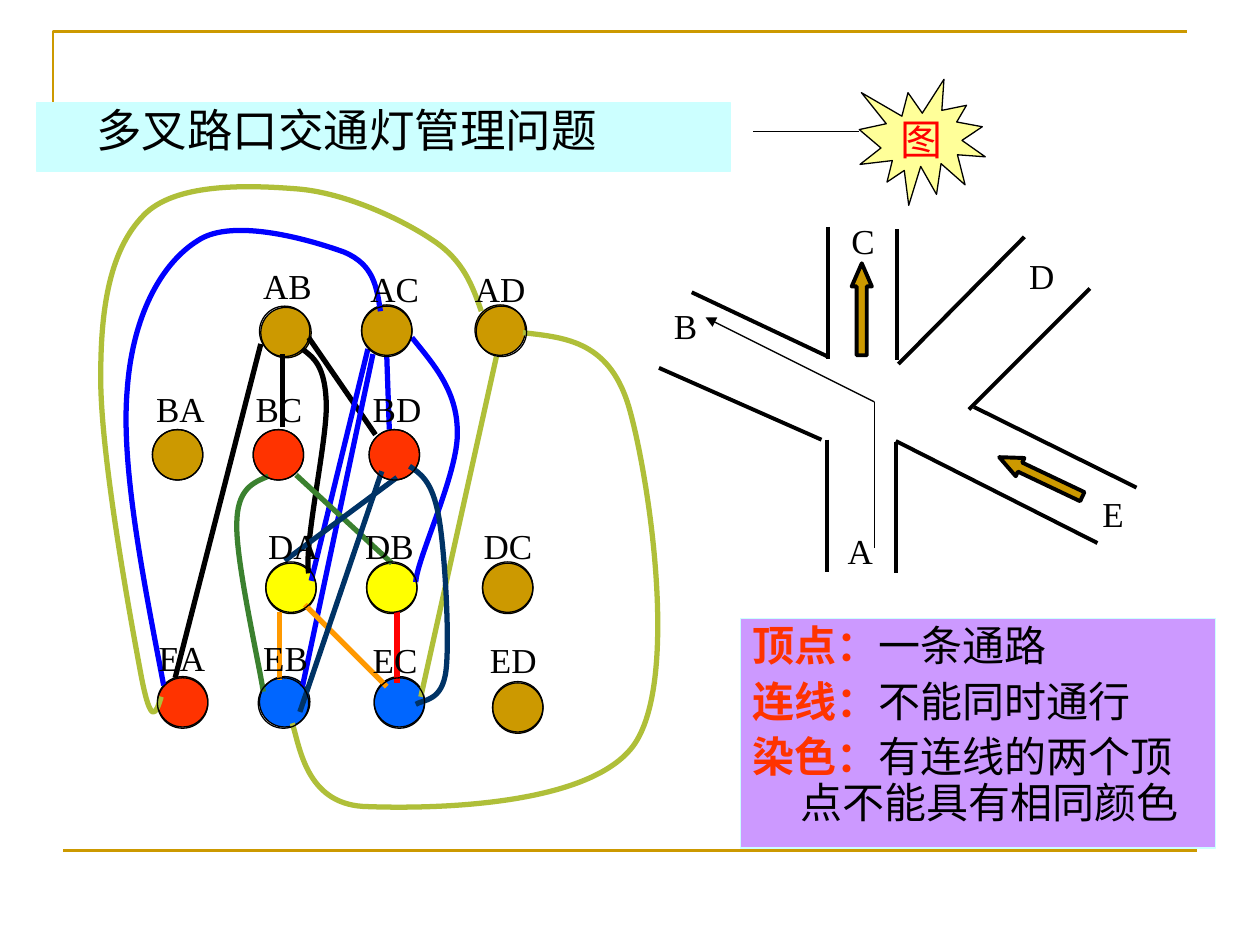
import dataclasses
import itertools

import pptx
import pptx.dml.color
import pptx.enum.shapes
import pptx.enum.text
import pptx.oxml
import pptx.oxml.ns
import pptx.util

SHAPE = pptx.enum.shapes.MSO_SHAPE
ALIGN = pptx.enum.text.PP_ALIGN
ANCHOR = pptx.enum.text.MSO_ANCHOR
CELL = pptx.util.Inches(0.1)  # grid of 100 columns by 75 rows


@dataclasses.dataclass(frozen=True)
class Theme:
    black: str = "000000"
    gold: str = "CC9900"
    red: str = "FF3300"
    bright_red: str = "FF0000"
    yellow: str = "FFFF00"
    blue: str = "0066FF"
    deep_blue: str = "0000FF"
    olive: str = "AFBF39"
    green: str = "3B812F"
    orange: str = "FF9900"
    navy: str = "003366"
    pale_cyan: str = "CCFFFF"
    pale_yellow: str = "FFFF99"
    violet: str = "CC99FF"
    chinese: str = "Noto Sans CJK SC"
    latin: str = "Times New Roman"
    title: int = 26
    body: int = 24
    label: int = 20
    thin: float = 0.75
    frame: float = 1.5
    road: float = 2.25
    edge: float = 3


THEME = Theme()


@dataclasses.dataclass(frozen=True)
class Box:
    left: float
    top: float
    width: float
    height: float

    def inner(self, left, top, width, height):
        return Box(self.left + left, self.top + top, width, height)

    def point(self, column, row):
        return round((self.left + column) * CELL), round((self.top + row) * CELL)

    def lengths(self):
        return [round(value * CELL) for value in dataclasses.astuple(self)]


def rgb(color):
    return pptx.dml.color.RGBColor.from_string(color)


def drawing_element(tag, attributes=""):
    return pptx.oxml.parse_xml(f'<a:{tag} {pptx.oxml.ns.nsdecls("a")} {attributes}/>')


def apply(target, values):
    for name, value in values.items():
        setattr(target, name, value)


def set_line(shape, color, width):
    shape.line.color.rgb = rgb(color)
    shape.line.width = pptx.util.Pt(width)


def add_shape(slide, kind, box, fill=None, line=THEME.black, width=THEME.thin):
    shape = slide.shapes.add_shape(kind, *box.lengths())
    shape.shadow.inherit = False
    if fill:
        shape.fill.solid()
        shape.fill.fore_color.rgb = rgb(fill)
    else:
        shape.fill.background()
    set_line(shape, line, width)
    return shape


def add_line(slide, box, start, end, color, width, arrow=False):
    line = slide.shapes.add_connector(pptx.enum.shapes.MSO_CONNECTOR.STRAIGHT,
                                      *box.point(*start), *box.point(*end))
    set_line(line, color, width)
    if arrow:
        line.line._get_or_add_ln().append(drawing_element("tailEnd", 'type="triangle"'))
    line._element.spPr.append(drawing_element("effectLst"))


def add_outline(slide, box, points, color, width, curved=False):
    vertices = [box.point(*point) for point in points]
    builder = slide.shapes.build_freeform(*vertices[0])
    builder.add_line_segments(vertices[1:], close=False)
    shape = builder.convert_to_shape()
    shape.shadow.inherit = False
    shape.fill.background()
    set_line(shape, color, width)
    if curved:
        join_curves(shape)


def join_curves(shape):
    """Turn each three line segments into one cubic curve."""
    segments = list(shape._element.iter(pptx.oxml.ns.qn("a:lnTo")))
    for first in range(0, len(segments), 3):
        curve = drawing_element("cubicBezTo")
        segments[first].addprevious(curve)
        for segment in segments[first:first + 3]:
            curve.append(segment[0])
            segment.getparent().remove(segment)


def add_run(paragraph, text, size, font, color=THEME.black, bold=False):
    run = paragraph.add_run()
    run.text = text
    apply(run.font, {"size": pptx.util.Pt(size), "bold": bold, "name": font})
    run.font.color.rgb = rgb(color)
    run.font._element.append(drawing_element("ea", f'typeface="{THEME.chinese}"'))


def format_paragraph(paragraph, margin, indent, space=0):
    properties = paragraph._p.get_or_add_pPr()
    properties.set("marL", str(pptx.util.Inches(margin)))
    properties.set("indent", str(pptx.util.Inches(indent)))
    apply(paragraph, {"alignment": ALIGN.LEFT, "line_spacing": 0.9,
                      "space_before": pptx.util.Pt(space)})


def add_label(slide, box, text):
    frame = slide.shapes.add_textbox(*box.lengths()).text_frame
    apply(frame, {"word_wrap": False, "auto_size": pptx.enum.text.MSO_AUTO_SIZE.SHAPE_TO_FIT_TEXT})
    add_run(frame.paragraphs[0], text, THEME.label, THEME.latin)


# Gold frame lines and title bar
def add_frame(slide, box):
    add_outline(slide, box, [(4.2, 9.2), (4.2, 2.5), (94.2, 2.5)], THEME.gold, THEME.frame)
    add_line(slide, box, (5, 67.5), (95, 67.5), THEME.gold, THEME.frame)


def add_title(slide, box):
    frame = add_shape(slide, SHAPE.RECTANGLE, box, THEME.pale_cyan, THEME.pale_cyan).text_frame
    apply(frame, {"word_wrap": True, "vertical_anchor": ANCHOR.TOP})
    format_paragraph(frame.paragraphs[0], 0.73, -0.36)
    add_run(frame.paragraphs[0], "多叉路口交通灯管理问题", THEME.title, THEME.chinese)


# Road junction with five arms
def add_crossing(slide, box):
    roads = [((15.7, 3), (15.7, 13.5)), ((21.2, 3.2), (21.2, 13.6)),
             ((15.6, 19.9), (15.6, 30.4)), ((21.1, 20.1), (21.1, 30.5)),
             ((15.7, 13.3), (4.9, 8.2)), ((15.2, 19.9), (2.3, 14.2)),
             ((26.9, 17.5), (36.5, 7.9)), ((27.3, 17.3), (40.2, 23.7)),
             ((21.1, 20), (37.1, 28.1)), ((21.3, 13.9), (31.3, 3.8))]
    for start, end in roads:
        add_line(slide, box, start, end, THEME.black, THEME.road)
    for left, top, rotation in [(17.6, 5.9, 0), (31.8, 19.2, 295.4)]:
        arrow = add_shape(slide, SHAPE.UP_ARROW, box.inner(left, top, 1.6, 7.3),
                          THEME.gold, width=THEME.road)
        arrow.adjustments[1] = 1.15
        arrow.rotation = rotation
    for name, left, top in [("C", 16.6, 1.9), ("E", 36.5, 23.6), ("D", 30.7, 4.7),
                            ("A", 16.3, 26.5), ("B", 2.5, 8.7)]:
        add_label(slide, box.inner(left, top, 4, 4.4), name)
    route = [(19.4, 28.5), (19.4, 16.9), (6, 10.2)]
    for start, end in itertools.pairwise(route):
        add_line(slide, box, start, end, THEME.black, THEME.thin, arrow=end == route[-1])


# Conflict graph: node, fill, disc, ring and label positions
NODES = [
    ("AB", THEME.gold, (15.7, 14.4), (15.6, 14.3), (14.9, 10.5)),
    ("AC", THEME.gold, (23.7, 14.2), (23.7, 14.3), (23.4, 10.7)),
    ("AD", THEME.gold, (32.7, 14.2), (32.8, 14.3), (31.7, 10.7)),
    ("BA", THEME.gold, (7.1, 24.1), (7.1, 24.1), (6.4, 20.3)),
    ("BC", THEME.red, (15.1, 24.1), (15.1, 24.1), (14.3, 20.3)),
    ("BD", THEME.red, (24.3, 24.1), (24.3, 24.1), (23.6, 20.3)),
    ("DA", THEME.yellow, (16.1, 34.7), (16.1, 34.6), (15.3, 31.1)),
    ("DB", THEME.yellow, (24.1, 34.7), (24.1, 34.6), (23, 31.1)),
    ("DC", THEME.gold, (33.3, 34.7), (33.3, 34.6), (32.4, 31.1)),
    ("EA", THEME.red, (7.5, 43.7), (7.5, 43.8), (6.6, 40)),
    ("EB", THEME.blue, (15.6, 43.7), (15.5, 43.8), (14.9, 40)),
    ("EC", THEME.blue, (24.7, 43.7), (24.7, 43.8), (23.6, 40.2)),
    ("ED", THEME.gold, (34.1, 44.2), (34.1, 44.1), (32.9, 40.2)),
]
# Two points make a straight edge, more are curve controls
EDGES = [
    (THEME.black, [
        [(15.7, 17.3), (8.9, 43.8)], [(17.4, 18.1), (17.4, 23.9)],
        [(19, 17.7), (19.9, 18.4), (20.8, 19), (20.9, 22), (21, 24.9), (19.1, 33.2), (19.5, 35.5)],
        [(19.5, 16.8), (24.8, 24.5)]]),
    (THEME.deep_blue, [
        [(25.2, 14.7), (24.9, 12.8), (24.7, 11), (22.3, 10), (19.8, 9.1), (13.5, 7.2), (10.7, 9.1),
         (7.8, 10.9), (5.5, 15.1), (5.1, 21), (4.6, 26.9), (6.3, 35.6), (8, 44.4)],
        [(25.7, 18.3), (25.9, 24.1)],
        [(27.7, 16.8), (29.4, 18.9), (31.3, 21), (31.3, 24.3), (31.4, 27.5), (28.1, 34.3), (28, 36.2)],
        [(24.2, 17.7), (19.7, 36.1)], [(24.6, 18.1), (19, 44.5)]]),
    (THEME.olive, [
        [(33.2, 14.7), (32.5, 12.7), (31.8, 10.7), (29.4, 9.1), (26.9, 7.4), (22.4, 5.3), (18.6, 5),
         (14.8, 4.7), (9.2, 4.5), (6.6, 6.9), (4, 9.4), (3, 13.6), (3, 19.7), (2.9, 25.8),
         (5.4, 39.3), (6.2, 43.6), (7, 47.8), (7.4, 46.6), (7.8, 45.3)],
        [(34.4, 18.3), (28.4, 45.3)],
        [(36.5, 16.4), (40, 16.8), (43.5, 17.1), (45, 22.6), (46.5, 28), (48.9, 43.7), (45.4, 49),
         (41.9, 54.2), (28.3, 54.2), (23.8, 54), (19.3, 53.7), (18.8, 49.3), (18.2, 47.4)]]),
    (THEME.green, [
        [(18.5, 27.7), (26.1, 34.7)],
        [(16.3, 27.8), (15.1, 28.3), (13.8, 28.8), (13.8, 31.6), (13.7, 34.5), (15.6, 42.8), (15.9, 44.9)]]),
    (THEME.orange, [[(17.2, 38.6), (17.2, 44)], [(19.2, 38), (25.7, 44.5)]]),
    (THEME.bright_red, [[(26.5, 38.6), (26.5, 44.2)]]),
    (THEME.navy, [
        [(17.6, 34.5), (26.5, 27.9)],
        [(27.5, 27), (28.4, 27.6), (29.3, 28.2), (29.8, 30.9), (30.3, 33.5), (30.7, 40.7), (30.4, 43.2),
         (30.1, 45.7), (28.6, 45.5), (28, 45.9)],
        [(25.3, 27.4), (18.8, 46.5)]]),
]


def add_graph(slide, box):
    for _, fill, disc, _, _ in NODES:
        add_shape(slide, SHAPE.OVAL, box.inner(*disc, 4, 4), fill)
    for color, edges in EDGES:
        for edge in edges:
            if len(edge) == 2:
                add_line(slide, box, *edge, color, THEME.edge)
            else:
                add_outline(slide, box, edge, color, THEME.edge, curved=True)
    for name, _, _, _, label in NODES:
        add_label(slide, box.inner(*label, 6.2, 4.4), name)
    for _, _, _, ring, _ in NODES:
        add_shape(slide, SHAPE.OVAL, box.inner(*ring, 4, 4))


# Starburst with its lead line
def add_burst(slide, box):
    frame = add_shape(slide, SHAPE.EXPLOSION1, box.inner(8.4, 0, 10, 10), THEME.pale_yellow).text_frame
    apply(frame, {"word_wrap": False, "vertical_anchor": ANCHOR.MIDDLE})
    frame.paragraphs[0].alignment = ALIGN.CENTER
    add_run(frame.paragraphs[0], "图", THEME.body, THEME.latin, THEME.bright_red)
    add_line(slide, box, (0, 4.15), (8.4, 4.15), THEME.black, THEME.thin)


# Key to the graph
def add_key(slide, box):
    frame = add_shape(slide, SHAPE.RECTANGLE, box, THEME.violet, THEME.pale_cyan).text_frame
    apply(frame, {"word_wrap": True, "vertical_anchor": ANCHOR.TOP})
    entries = [("顶点：", "一条通路"), ("连线：", "不能同时通行"),
               ("染色：", "有连线的两个顶点不能具有相同颜色")]
    for index, (term, meaning) in enumerate(entries):
        paragraph = frame.add_paragraph() if index else frame.paragraphs[0]
        format_paragraph(paragraph, 0.38, -0.38, 6 if index else 0)
        add_run(paragraph, term, THEME.body, THEME.chinese, THEME.red, bold=True)
        add_run(paragraph, meaning, THEME.body, THEME.chinese)


def main():
    presentation = pptx.Presentation()
    apply(presentation, {"slide_width": 100 * CELL, "slide_height": 75 * CELL})
    slide = presentation.slides.add_slide(presentation.slide_layouts[6])
    add_frame(slide, Box(0, 0, 100, 75))
    add_title(slide, Box(2.95, 8.13, 55, 5.5))
    add_crossing(slide, Box(50, 15, 42, 31))
    add_graph(slide, Box(5, 10, 49, 55))
    add_burst(slide, Box(59.8, 6.3, 18.4, 10))
    add_key(slide, Box(58.75, 49.1, 37.7, 18.2))
    presentation.save("out.pptx")


if __name__ == "__main__":
    main()
